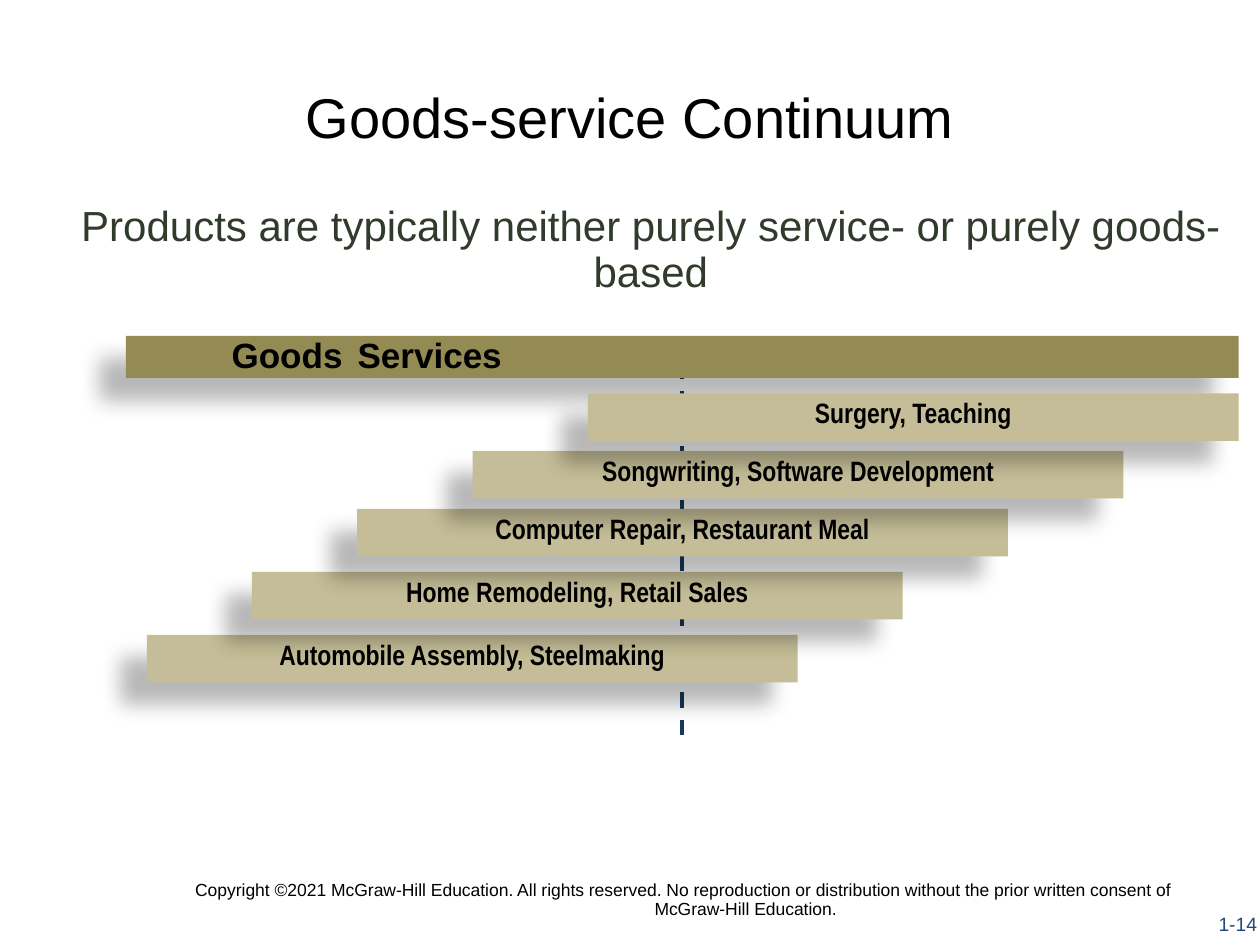
from collections import namedtuple
from lxml.etree import SubElement
from pptx import Presentation
from pptx.dml.color import RGBColor
from pptx.enum.dml import MSO_LINE_DASH_STYLE as Dash
from pptx.enum.shapes import MSO_CONNECTOR as Connector, MSO_SHAPE as Shape
from pptx.enum.text import MSO_ANCHOR as Anchor, PP_ALIGN as Align
from pptx.oxml.ns import qn
from pptx.util import Cm, Pt

Box = namedtuple("Box", "left top width height")

COLORS = {
    "black": "000000",
    "subtitle": "303B2C",
    "header": "948A54",
    "bar": "C4BD97",
    "divider": "17375E",
    "number": "1F497D",
}

EXAMPLES = [
    ("Automobile Assembly, Steelmaking", 0.42, 6.03),
    ("Home Remodeling, Retail Sales", 2.54, 4.76),
    ("Computer Repair, Restaurant Meal", 4.66, 3.49),
    ("Songwriting, Software Development", 6.99, 2.32),
    ("Surgery, Teaching", 9.31, 1.16),
]


def color(name):
    return RGBColor.from_string(COLORS[name])


def write(frame, text, size, tint="black", font="Arial", bold=False,
          align=Align.CENTER, spacing=0.9):
    frame.word_wrap = True
    frame.text = text
    para = frame.paragraphs[0]
    para.alignment = align
    para.line_spacing = spacing
    for span in para.runs:
        span.font.name = font
        span.font.size = Pt(size)
        span.font.bold = bold
        span.font.color.rgb = color(tint)
    return para


def add_text(page, box, text, size, tint="black"):
    label = page.shapes.add_textbox(*map(Cm, box))
    return write(label.text_frame, text, size, tint)


def add_title(page, box, text):
    title = page.shapes.title
    title.left, title.top, title.width, title.height = map(Cm, box)
    title.text_frame.vertical_anchor = Anchor.MIDDLE
    write(title.text_frame, text, 32, spacing=1.0)


def add_shadow(shape):
    effects = shape._element.spPr.find(qn("a:effectLst"))
    shadow = SubElement(effects, qn("a:outerShdw"), blurRad=str(Pt(11.8)),
                        dist=str(Pt(19.7)), dir=str(141 * 60000),
                        algn="tl", rotWithShape="0")
    tint = SubElement(shadow, qn("a:srgbClr"), val=COLORS["black"])
    SubElement(tint, qn("a:alpha"), val="28000")


def add_bar(page, box, fill):
    bar = page.shapes.add_shape(Shape.RECTANGLE, *map(Cm, box))
    bar.shadow.inherit = False
    bar.fill.solid()
    bar.fill.fore_color.rgb = color(fill)
    bar.line.fill.background()
    add_shadow(bar)
    return bar


def add_divider(page, box):
    middle = box.left + box.width / 2
    divider = page.shapes.add_connector(
        Connector.STRAIGHT, Cm(middle), Cm(box.top),
        Cm(middle), Cm(box.top + box.height))
    divider.line.color.rgb = color("divider")
    divider.line.width = Pt(2.25)
    divider.line.dash_style = Dash.DASH
    SubElement(divider._element.spPr, qn("a:effectLst"))
    return divider


def add_header(page, box):
    header = add_bar(page, box, "header")
    frame = header.text_frame
    frame.vertical_anchor = Anchor.MIDDLE
    frame.margin_left = Cm(2.13)
    frame.margin_right = 0
    props = frame.paragraphs[0]._p.get_or_add_pPr()
    tabs = SubElement(props, qn("a:tabLst"))
    SubElement(tabs, qn("a:tab"), pos=str(Cm(15.24)), algn="l")
    write(frame, "Goods\tServices", 20, bold=True, align=Align.LEFT)
    return header


def add_continuum(page, box):
    divider = add_divider(page, box)
    header = add_header(page, Box(box.left, box.top, box.width, 0.85))
    divider.begin_connect(header, 0)
    for text, across, down in EXAMPLES:
        bar = add_bar(page, Box(box.left + across, box.top + down, 13.12, 0.96), "bar")
        bar.text_frame.vertical_anchor = Anchor.TOP
        write(bar.text_frame, text, 16, font="Arial Narrow", bold=True)


def add_footer(page, box):
    para = add_text(
        page, box,
        "Copyright ©2021 McGraw-Hill Education. All rights reserved. "
        "No reproduction or distribution without the prior written consent "
        "of McGraw-Hill Education.", 10)
    props = para._p.get_or_add_pPr()
    props.set("marL", str(Cm(2.54)))
    props.set("indent", str(Cm(-2.54)))


def main():
    deck = Presentation()
    deck.slide_width, deck.slide_height = Cm(25.4), Cm(19.05)
    page = deck.slides.add_slide(deck.slide_layouts[5])
    add_title(page, Box(1.27, 0.76, 22.86, 3.18), "Goods-service Continuum")
    add_text(page, Box(1.27, 4.02, 23.7, 2.31),
             "Products are typically neither purely service- or purely goods-based",
             24, "subtitle")
    add_continuum(page, Box(2.54, 6.77, 22.43, 8.05))
    add_footer(page, Box(3.18, 17.65, 21.16, 1.12))
    add_text(page, Box(24.13, 18.31, 1.65, 0.74), "1-14", 11, "number")
    deck.save("out.pptx")


if __name__ == "__main__":
    main()
